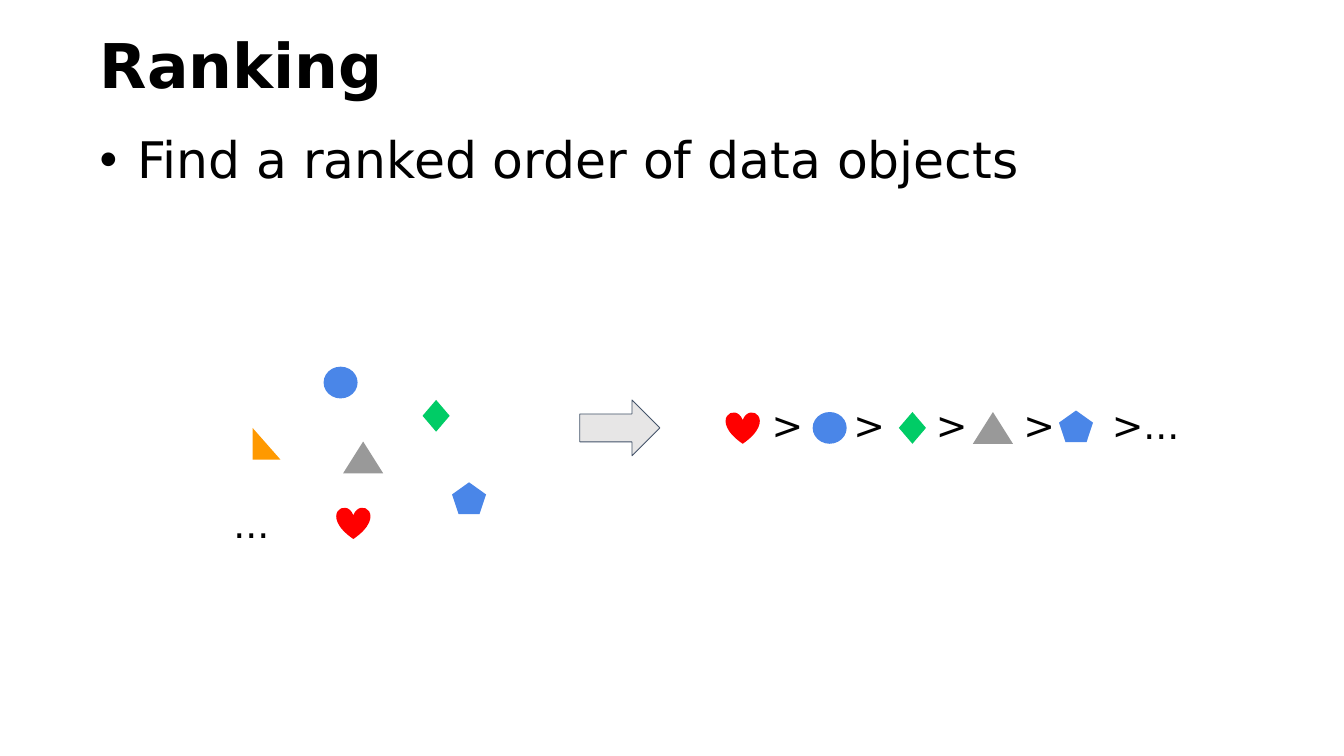
from pptx import Presentation, util as u
from pptx.dml.color import RGBColor
from pptx.enum import shapes, text
from pptx.oxml import parse_xml
from pptx.oxml.ns import nsdecls

WIDE, HIGH = 17.78, 10
KIND = shapes.MSO_SHAPE

# Colours and type sizes
THEME = {
    "font": "DejaVu Sans", "ink": "000000",
    "title": 58.7, "body": 48, "sign": 36,
    "blue": "4A86E8", "gray": "999999", "green": "00CC66",
    "red": "FF0000", "gold": "FF9900", "pale": "E7E6E6", "edge": "44546A",
}

# Data objects: preset, colour, width; sizes are percent of the slide
ITEMS = {
    "disc": (KIND.OVAL, "blue", 2.53),
    "peak": (KIND.ISOSCELES_TRIANGLE, "gray", 2.98),
    "gem": (KIND.DIAMOND, "green", 2.02),
    "penta": (KIND.REGULAR_PENTAGON, "blue", 2.53),
    "heart": (KIND.HEART, "red", 2.53),
    "wedge": (KIND.RIGHT_TRIANGLE, "gold", 2.08),
}
TALL = 4.2

# Centres of the objects, in percent of the slide
LOOSE = [("disc", 25.34, 50.6), ("peak", 27.02, 60.5), ("gem", 32.45, 55),
         ("penta", 34.9, 65.9), ("heart", 26.29, 69.2), ("wedge", 19.83, 58.7)]
RANKED = [("heart", 55.26, 56.6), ("disc", 61.73, 56.6), ("gem", 67.89, 56.6),
          ("peak", 73.88, 56.6), ("penta", 80.06, 56.4)]
SIGNS = [(56.86, 2.53, ">"), (62.94, 2.53, ">"), (69.07, 2.53, ">"),
         (75.59, 2.53, ">"), (82.17, 8.72, ">...")]


def tint(name):
    return RGBColor.from_string(THEME[name])


def box(x, y, w, h):
    """Turn percent shares of the slide into lengths."""
    return [u.Inches(part * side / 100)
            for part, side in zip((x, y, w, h), (WIDE, HIGH) * 2)]


def put(obj, **vals):
    for key, val in vals.items():
        setattr(obj, key, val)


def shape(tree, kind, fill, area, edge=None):
    item = tree.add_shape(kind, *box(*area))
    item.shadow.inherit = False
    item.fill.solid()
    item.fill.fore_color.rgb = tint(fill)
    if edge:
        item.line.color.rgb = tint(edge)
        item.line.width = u.Pt(0.75)
    else:
        item.line.fill.background()


def token(tree, name, x, y):
    """Draw a data object about its centre."""
    kind, fill, w = ITEMS[name]
    shape(tree, kind, fill, (x - w / 2, y - TALL / 2, w, TALL))


def label(tree, words, size, area, pad=0.1, bold=False, mark=False, **look):
    frame = tree.add_textbox(*box(*area)).text_frame
    put(frame, word_wrap=True, margin_left=u.Inches(0.1),
        margin_right=u.Inches(0.1), margin_top=u.Inches(pad),
        margin_bottom=u.Inches(pad),
        vertical_anchor=look.pop("anchor", text.MSO_ANCHOR.TOP))
    para = frame.paragraphs[0]
    put(para, **look)
    if mark:
        bullet(para)
    run = para.add_run()
    run.text = words
    put(run.font, name=THEME["font"], size=u.Pt(THEME[size]), bold=bold)
    run.font.color.rgb = tint("ink")


def bullet(para):
    props = para._p.get_or_add_pPr()
    props.set("marL", str(u.Inches(0.5)))
    props.set("indent", str(-u.Inches(0.5)))
    props.append(parse_xml(f'<a:buFont {nsdecls("a")} typeface="Arial"/>'))
    props.append(parse_xml(f'<a:buChar {nsdecls("a")} char="•"/>'))


def main():
    deck = Presentation()
    put(deck, slide_width=u.Inches(WIDE), slide_height=u.Inches(HIGH))
    tree = deck.slides.add_slide(deck.slide_layouts[6]).shapes

    # Heading and statement
    label(tree, "Ranking", "title", (6.86, 3.6, 86.22, 10.9), pad=0.05,
          bold=True, anchor=text.MSO_ANCHOR.MIDDLE, line_spacing=0.9)
    label(tree, "Find a ranked order of data objects", "body",
          (6.86, 17.4, 86.22, 14.1), pad=0.05, mark=True, line_spacing=0.9)

    # Unordered objects
    for spot in LOOSE:
        token(tree, *spot)
    label(tree, "...", "sign", (16.82, 65.2, 5.96, 8))

    # Arrow from loose to ranked
    shape(tree, KIND.RIGHT_ARROW, "pale", (43.14, 52.9, 5.96, 7.4), "edge")

    # Ranked row
    row = tree.add_group_shape().shapes
    for spot in RANKED:
        token(row, *spot)
    for x, w, sign in SIGNS:
        label(row, sign, "sign", (x, 52.1, w, 4.6))

    deck.save("out.pptx")


if __name__ == "__main__":
    main()
